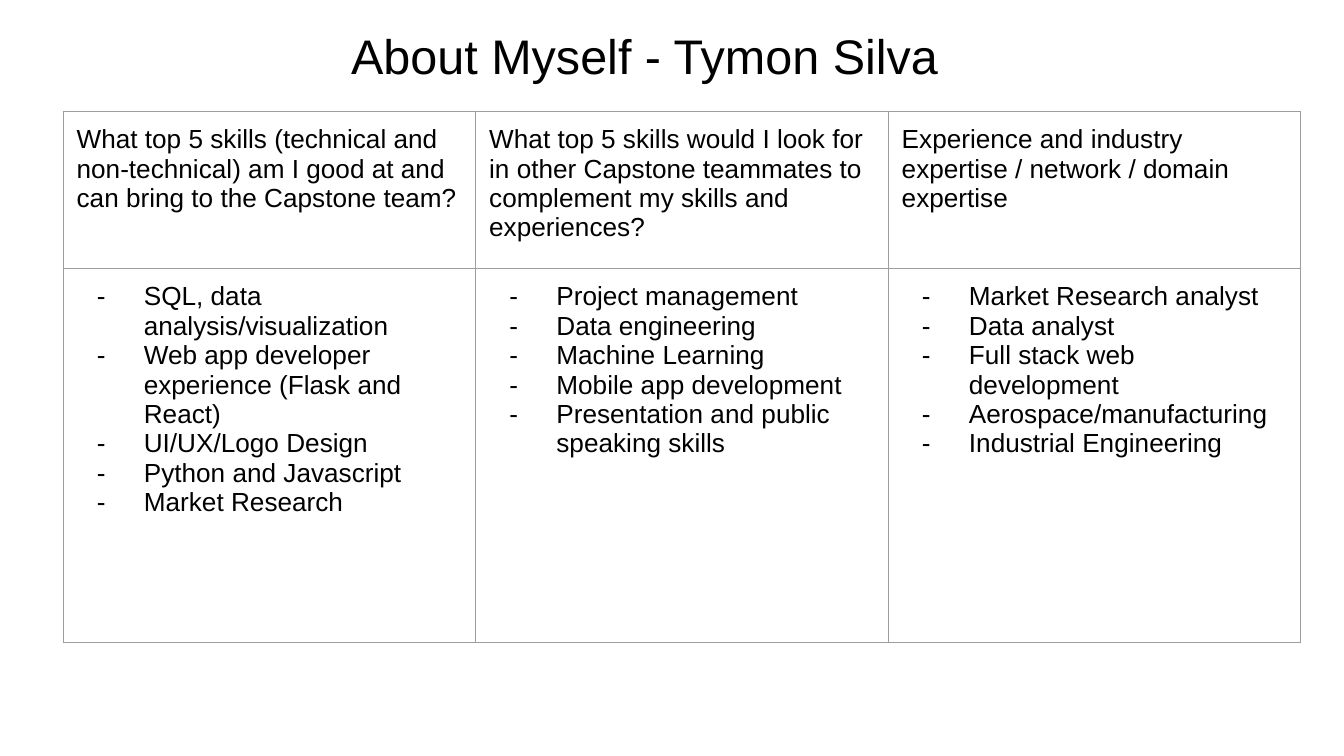
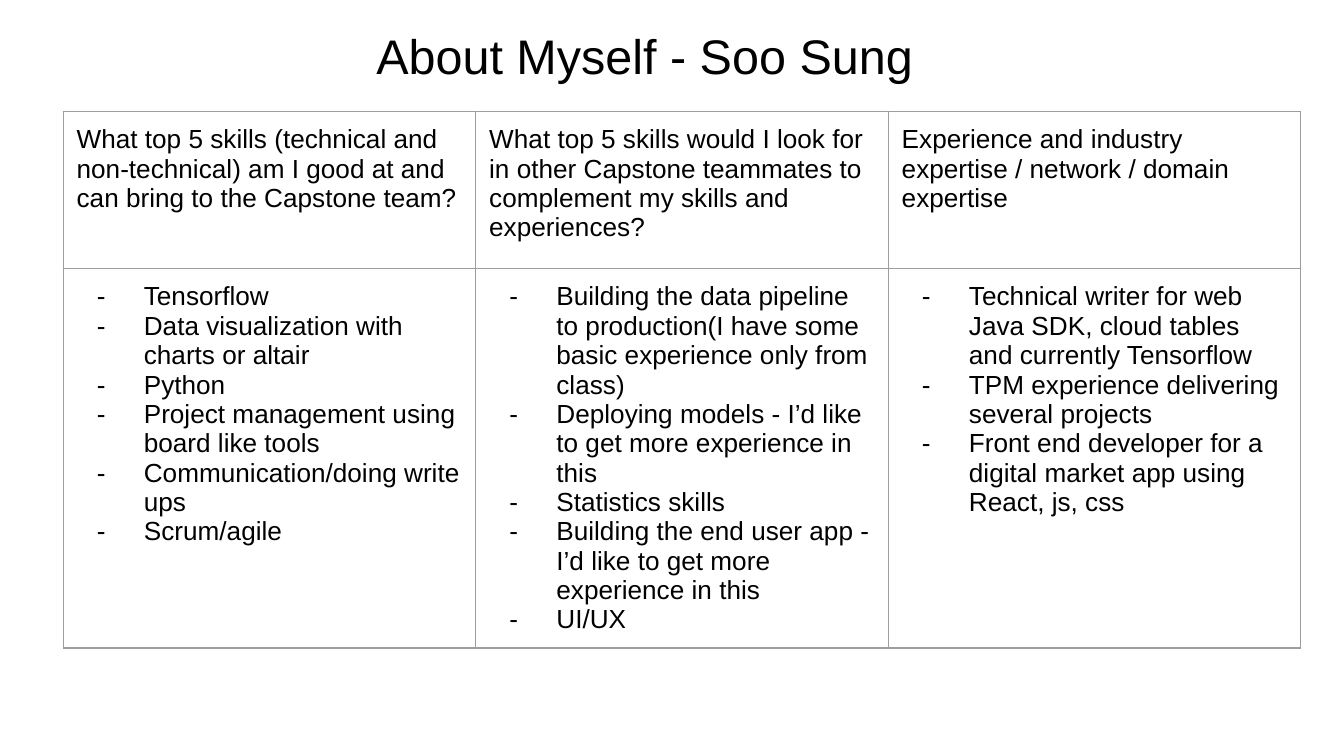
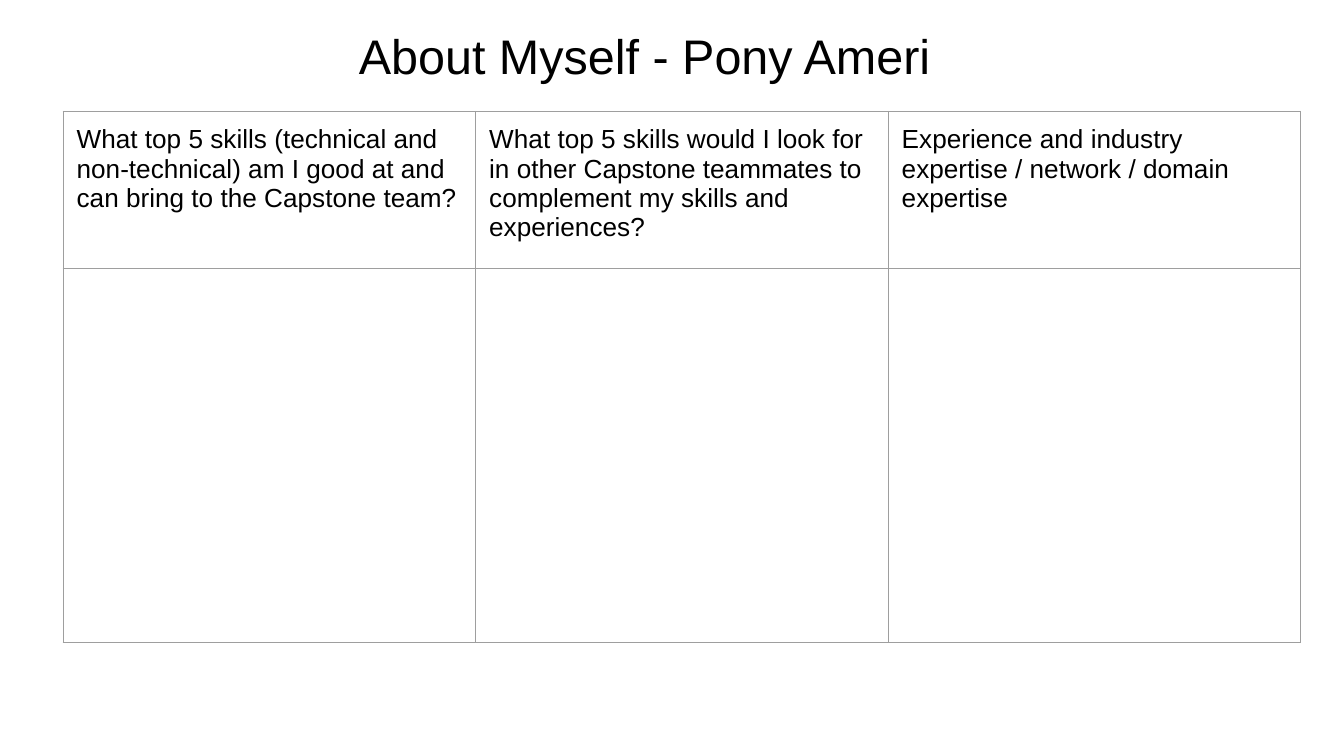
"""Build three team-introduction slides, each with a title and a skills table."""
import pptx
import pptx.dml.color
import pptx.enum.text
import pptx.oxml
import pptx.oxml.ns
import pptx.util

Inches = pptx.util.Inches
BLACK = pptx.dml.color.RGBColor(0x00, 0x00, 0x00)
WHITE = pptx.dml.color.RGBColor(0xFF, 0xFF, 0xFF)
BORDER_GRAY = pptx.dml.color.RGBColor(0x9E, 0x9E, 0x9E)
FONT = "Arial"
INSET = Inches(0.1)
COLUMN_WIDTH = Inches(3.07)
ROW_HEIGHTS = [Inches(1.17), Inches(2.78)]

QUESTIONS = [
    "What top 5 skills (technical and non-technical) am I good at and can bring to the Capstone team?",
    "What top 5 skills would I look for in other Capstone teammates to complement my skills and experiences?",
    "Experience and industry expertise / network / domain expertise",
]
MEMBERS = {
    "Tymon Silva": [
        ["SQL, data analysis/visualization",
         "Web app developer experience (Flask and React)",
         "UI/UX/Logo Design",
         "Python and Javascript",
         "Market Research"],
        ["Project management",
         "Data engineering",
         "Machine Learning",
         "Mobile app development",
         "Presentation and public speaking skills"],
        ["Market Research analyst",
         "Data analyst",
         "Full stack web development",
         "Aerospace/manufacturing",
         "Industrial Engineering"],
    ],
    "Soo Sung": [
        ["Tensorflow",
         "Data visualization with charts or altair",
         "Python",
         "Project management using board like tools",
         "Communication/doing write ups",
         "Scrum/agile"],
        ["Building the data pipeline to production(I have some basic experience only from class)",
         "Deploying models - I’d like to get more experience in this",
         "Statistics skills",
         "Building the end user app - I’d like to get more experience in this",
         "UI/UX"],
        ["Technical writer for web Java SDK, cloud tables and currently Tensorflow",
         "TPM experience delivering several projects",
         "Front end developer for a digital market app using React, js, css"],
    ],
    "Pony Ameri": [[], [], []],
}


def style_font(paragraph, size):
    paragraph.font.name = FONT
    paragraph.font.size = pptx.util.Pt(size)
    paragraph.font.color.rgb = BLACK


def fill_cell(cell, lines, bulleted):
    cell.margin_left = cell.margin_right = cell.margin_top = cell.margin_bottom = INSET
    namespace = pptx.oxml.ns.nsdecls("a")
    properties = cell._tc.get_or_add_tcPr()
    for side in ("lnL", "lnR", "lnT", "lnB"):
        properties.append(pptx.oxml.parse_xml(
            f'<a:{side} {namespace} w="{pptx.util.Pt(0.75)}"><a:solidFill>'
            f'<a:srgbClr val="{BORDER_GRAY}"/></a:solidFill></a:{side}>'))
    cell.fill.solid()
    cell.fill.fore_color.rgb = WHITE
    cell.text_frame.text = "\n".join(lines)
    for paragraph in cell.text_frame.paragraphs:
        if bulleted and lines:
            paragraph_properties = paragraph._p.get_or_add_pPr()
            paragraph_properties.set("marL", str(Inches(0.5)))
            paragraph_properties.set("indent", str(Inches(-0.35)))
            for bullet in (f'<a:buClr {namespace}><a:srgbClr val="{BLACK}"/></a:buClr>',
                           f'<a:buFont {namespace} typeface="{FONT}"/>',
                           f'<a:buChar {namespace} char="-"/>'):
                paragraph_properties.append(pptx.oxml.parse_xml(bullet))
        style_font(paragraph, 14)


presentation = pptx.Presentation()
presentation.slide_width = Inches(10)
presentation.slide_height = presentation.slide_width * 9 // 16

for name, answers in MEMBERS.items():
    slide = presentation.slides.add_slide(presentation.slide_layouts[5])
    title = slide.shapes.title
    title.left, title.top = Inches(0.79), Inches(0.09)
    title.width, title.height = Inches(8.02), Inches(0.62)
    frame = title.text_frame
    frame.text = f"About Myself - {name}"
    frame.word_wrap = True
    frame.auto_size = pptx.enum.text.MSO_AUTO_SIZE.NONE
    frame.vertical_anchor = pptx.enum.text.MSO_ANCHOR.TOP
    frame.margin_left = frame.margin_right = frame.margin_top = frame.margin_bottom = INSET
    frame.paragraphs[0].alignment = pptx.enum.text.PP_ALIGN.CENTER
    style_font(frame.paragraphs[0], 26)

    table = slide.shapes.add_table(
        len(ROW_HEIGHTS), len(QUESTIONS), Inches(0.47), Inches(0.83),
        COLUMN_WIDTH * len(QUESTIONS), sum(ROW_HEIGHTS)).table
    table.first_row = table.horz_banding = False
    for row, height in zip(table.rows, ROW_HEIGHTS):
        row.height = height
    for index, (question, answer) in enumerate(zip(QUESTIONS, answers)):
        table.columns[index].width = COLUMN_WIDTH
        fill_cell(table.cell(0, index), [question], bulleted=False)
        fill_cell(table.cell(1, index), answer, bulleted=True)

presentation.save("out.pptx")
